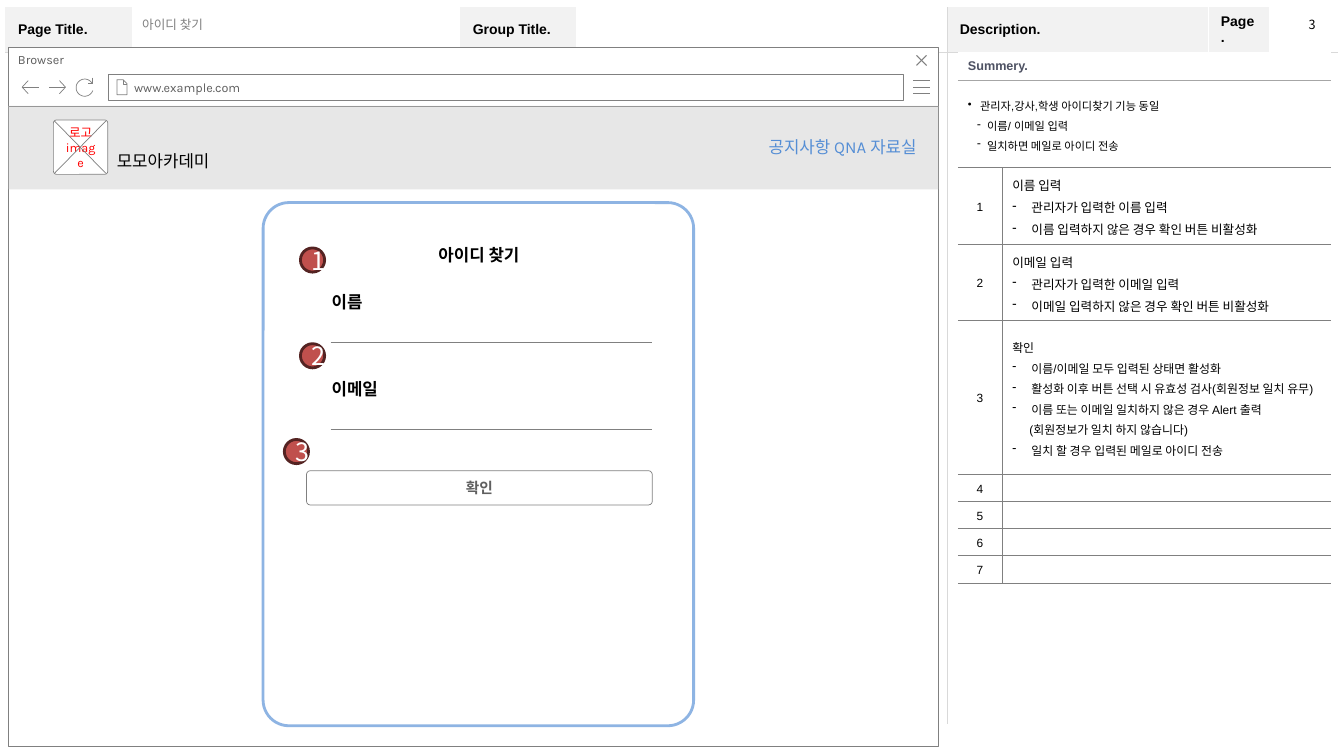
import math
from dataclasses import dataclass

from lxml import etree
from pptx import Presentation
from pptx import util as u
from pptx.dml.color import RGBColor
from pptx.enum import shapes, text
from pptx.oxml.ns import qn

BLACK = RGBColor(0x00, 0x00, 0x00)
WHITE = RGBColor(0xFF, 0xFF, 0xFF)
GREY = RGBColor(0x80, 0x80, 0x80)
DARK_GREY = RGBColor(0x5F, 0x5F, 0x5F)
PALE_GREY = RGBColor(0xF2, 0xF2, 0xF2)
RULE_GREY = RGBColor(0xD9, 0xD9, 0xD9)
SUMMARY_RULE = RGBColor(0xA6, 0xA6, 0xA6)
BANNER_GREY = RGBColor(0xBF, 0xBF, 0xBF)
SLATE = RGBColor(0x4E, 0x52, 0x63)
RED = RGBColor(0xFF, 0x00, 0x00)
MARKER_RED = RGBColor(0xC0, 0x50, 0x4D)
MARKER_EDGE = RGBColor(0x54, 0x23, 0x22)
FRAME_BLUE = RGBColor(0x8E, 0xB4, 0xE3)
MENU_BLUE = RGBColor(0x55, 0x8E, 0xD5)
KOREAN = "Noto Sans CJK KR"
LEFT, CENTER = text.PP_ALIGN.LEFT, text.PP_ALIGN.CENTER
RIGHT, JUSTIFY = text.PP_ALIGN.RIGHT, text.PP_ALIGN.JUSTIFY
TOP, MIDDLE = text.MSO_ANCHOR.TOP, text.MSO_ANCHOR.MIDDLE
RECT = shapes.MSO_SHAPE.RECTANGLE
ROUND = shapes.MSO_SHAPE.ROUNDED_RECTANGLE
OVAL = shapes.MSO_SHAPE.OVAL


@dataclass
class Style:
    size: float
    colour: RGBColor = BLACK
    font: str = "Arial"
    bold: bool = False
    align: text.PP_ALIGN = LEFT
    spacing: float = 1.0


@dataclass
class Item:
    """A paragraph with an optional bullet, its indent and hanging width."""
    words: str
    bullet: str = ""
    indent: float = 0
    hanging: float = 0


@dataclass
class Box:
    kind: shapes.MSO_SHAPE
    at: tuple[float, float, float, float]
    fill: RGBColor | None = WHITE
    line: RGBColor | None = GREY
    weight: float = 0.5
    corner: float | None = None


@dataclass
class Label:
    words: str
    at: tuple[float, float, float]
    style: Style


def write(tf, items: list[Item], style: Style) -> None:
    for i, item in enumerate(items):
        p = tf.paragraphs[0] if i == 0 else tf.add_paragraph()
        p.text, p.alignment, p.line_spacing = item.words, style.align, style.spacing
        p.space_before = u.Pt(0)
        f = p.font
        f.size, f.bold, f.name = u.Pt(style.size), style.bold, style.font
        f.color.rgb = style.colour
        pPr = p._p.get_or_add_pPr()
        defaults = pPr.find(qn("a:defRPr"))
        etree.SubElement(defaults, qn("a:ea"), typeface=KOREAN)
        if item.indent:
            pPr.set("marL", str(u.Inches(item.indent)))
            pPr.set("indent", str(-u.Inches(item.hanging)))
        if item.bullet:
            bullet = etree.Element(qn("a:buChar"), char=item.bullet)
            defaults.addprevious(bullet)


def set_insets(target, left: float, top: float, right: float, bottom: float) -> None:
    target.margin_left, target.margin_top = u.Inches(left), u.Inches(top)
    target.margin_right, target.margin_bottom = u.Inches(right), u.Inches(bottom)


def add_box(s, box: Box):
    sp = s.shapes.add_shape(box.kind, *map(u.Inches, box.at))
    sp.shadow.inherit = False
    if box.fill is None:
        sp.fill.background()
    else:
        sp.fill.solid()
        sp.fill.fore_color.rgb = box.fill
    if box.line is None:
        sp.line.fill.background()
    else:
        sp.line.color.rgb, sp.line.width = box.line, u.Pt(box.weight)
    if box.corner is not None:
        sp.adjustments[0] = box.corner
    sp.text_frame.vertical_anchor = MIDDLE
    return sp


def add_label(s, label: Label):
    left, top, width = label.at
    sp = s.shapes.add_textbox(*map(u.Inches, (left, top, width, 0.3)))
    sp.text_frame.word_wrap = True
    write(sp.text_frame, [Item(label.words)], label.style)


def add_rule(s, x1: float, y1: float, x2: float, y2: float) -> None:
    c = s.shapes.add_connector(shapes.MSO_CONNECTOR.STRAIGHT, *map(u.Inches, (x1, y1, x2, y2)))
    c.line.color.rgb, c.line.width = GREY, u.Pt(0.5)
    etree.SubElement(c._element.spPr, qn("a:effectLst"))


def add_icon(s, strokes: list[list[tuple[float, float]]], weight: float = 0.5) -> None:
    """Draw open strokes given in hundredths of an inch."""
    scaled = [[(x * 10, y * 10) for x, y in stroke] for stroke in strokes]
    builder = s.shapes.build_freeform(*scaled[0][0], scale=u.Inches(1) / 1000)
    for i, stroke in enumerate(scaled):
        if i:
            builder.move_to(*stroke[0])
        builder.add_line_segments(stroke[1:], close=False)
    sp = builder.convert_to_shape()
    sp.shadow.inherit = False
    sp.fill.background()
    sp.line.color.rgb, sp.line.width = GREY, u.Pt(weight)


def set_cell(cell, edges: dict[str, RGBColor], fill: RGBColor | None = None) -> None:
    """Colour the edges named L, R, T, B; the others stay empty."""
    tcPr = cell._tc.get_or_add_tcPr()
    for side in "LRTB":
        ln = etree.SubElement(tcPr, qn(f"a:ln{side}"), w=str(u.Pt(0.25)))
        if side in edges:
            solid = etree.SubElement(ln, qn("a:solidFill"))
            etree.SubElement(solid, qn("a:srgbClr"), val=str(edges[side]))
        else:
            etree.SubElement(ln, qn("a:noFill"))
    if fill is None:
        cell.fill.background()
    else:
        cell.fill.solid()
        cell.fill.fore_color.rgb = fill
    cell.vertical_anchor = MIDDLE
    cell.text_frame.paragraphs[0].font.size = u.Pt(8)
    etree.SubElement(cell.text_frame.paragraphs[0]._p, qn("a:endParaRPr"), sz="800")


def add_grid(s, left: float, top: float, cols: list[float], rows: list[float]):
    frame = s.shapes.add_table(len(rows), len(cols),
                               *map(u.Inches, (left, top, sum(cols), sum(rows))))
    table = frame.table
    table.first_row = table.horz_banding = False
    for col, width in zip(table.columns, cols):
        col.width = u.Inches(width)
    for row, height in zip(table.rows, rows):
        row.height = u.Inches(height)
    return table


def dashes(*lines: str) -> list[Item]:
    return [Item(line, "-", 0.19, 0.19) for line in lines]


def add_header(s) -> None:
    table = add_grid(s, 0.05, 0.07, [1.26, 3.25, 1.15, 3.68, 2.59, 0.61, 0.68], [0.44, 6.66])
    table.cell(1, 0).merge(table.cell(1, 3))
    table.cell(1, 4).merge(table.cell(1, 6))
    headings = {0: "Page Title.", 2: "Group Title.", 4: "Description.", 5: "Page."}
    for col in range(7):
        divider = {3: {"R": RULE_GREY}, 4: {"L": RULE_GREY, "R": WHITE}, 5: {"L": WHITE}}.get(col, {})
        cell = table.cell(0, col)
        set_cell(cell, divider | {"B": RULE_GREY}, PALE_GREY if col in headings else None)
        set_cell(table.cell(1, col), divider | {"T": RULE_GREY} if col in (3, 4) else {"T": RULE_GREY})
        if col in headings:
            set_insets(cell, 0.13, 0.07, 0.13, 0.07)
            write(cell.text_frame, [Item(headings[col])], Style(10, bold=True))


def add_description(s) -> None:
    table = add_grid(s, 9.5, 0.52, [0.44, 3.26], [0.28, 0.86, 0.76, 0.75, 1.53] + [0.27] * 4)
    summary = [Item("관리자,강사,학생 아이디찾기 기능 동일", "•", 0.12, 0.12),
               Item("이름/ 이메일 입력", "-", 0.19, 0.1),
               Item("일치하면 메일로 아이디 전송", "-", 0.19, 0.1)]
    details = [
        (9, [Item("이름 입력")] + dashes("관리자가 입력한 이름 입력", "이름 입력하지 않은 경우 확인 버튼 비활성화")),
        (9, [Item("이메일 입력")] + dashes("관리자가 입력한 이메일 입력", "이메일 입력하지 않은 경우 확인 버튼 비활성화")),
        (8.5, [Item("확인")] + dashes("이름/이메일 모두 입력된 상태면 활성화",
                                    "활성화 이후 버튼 선택 시 유효성 검사(회원정보 일치 유무)",
                                    "이름 또는 이메일 일치하지 않은 경우 Alert 출력")
         + [Item("(회원정보가 일치 하지 않습니다)", indent=0.17)]
         + dashes("일치 할 경우 입력된 메일로 아이디 전송")),
    ] + [(8.5, [])] * 4
    tops = [({"B": SUMMARY_RULE}, WHITE, [Item("Summery.")], Style(9, SLATE, bold=True)),
            ({"T": SUMMARY_RULE, "B": GREY}, None, summary, Style(8, align=JUSTIFY, spacing=1.2))]
    for row, (edges, fill, items, style) in enumerate(tops):
        table.cell(row, 0).merge(table.cell(row, 1))
        for col in range(2):
            set_cell(table.cell(row, col), edges, fill)
        write(table.cell(row, 0).text_frame, items, style)
    for number, (size, items) in enumerate(details, 1):
        index, detail = table.cell(number + 1, 0), table.cell(number + 1, 1)
        set_cell(index, {"T": GREY, "B": GREY, "R": GREY})
        set_cell(detail, {"T": GREY, "B": GREY, "L": GREY})
        write(index.text_frame, [Item(str(number))], Style(8.5, align=CENTER, spacing=1.2))
        write(detail.text_frame, items, Style(size, align=JUSTIFY, spacing=1.2))


def add_browser(s) -> None:
    add_box(s, Box(RECT, (0.08, 1.05, 9.23, 6.35)))
    bars = [("Browser", (0.08, 0.47, 9.23, 0.59), 0.1, TOP),
            ("www.example.com", (1.07, 0.74, 7.89, 0.26), 0.26, MIDDLE)]
    for words, at, inset, anchor in bars:
        tf = add_box(s, Box(RECT, at)).text_frame
        tf.vertical_anchor = anchor
        set_insets(tf, inset, 0.05, 0.1, 0.05)
        write(tf, [Item(words)], Style(9, DARK_GREY, "Karla"))
    turn = [math.radians(a) for a in range(20, 334, 8)]
    add_icon(s, [[(906, y), (922, y)] for y in (80, 86.5, 93)])
    add_icon(s, [[(919, 55), (909, 65)], [(909, 55), (919, 65)]], 0.75)
    add_icon(s, [[(122, 79), (122, 84), (126, 84)],
                 [(116, 79), (116, 94), (126, 94), (126, 83), (122, 79), (116, 79)]])
    add_icon(s, [[(28, 80), (22, 86.5), (28, 93)], [(22, 86.5), (39, 86.5)]])
    add_icon(s, [[(59, 80), (65, 86.5), (59, 93)], [(65, 86.5), (49, 86.5)]])
    add_icon(s, [[(92, 77), (92, 83), (87, 83)],
                 [(84 + 8.5 * math.cos(a), 87 + 8.5 * math.sin(a)) for a in turn]])


def add_page(s) -> None:
    button = add_box(s, Box(ROUND, (3.04, 4.67, 3.43, 0.34), corner=0.11))
    write(button.text_frame, [Item("확인")], Style(10.5, DARK_GREY, "Karla", True, CENTER))
    for y in (3.4, 4.26):
        add_rule(s, 3.28, y, 6.47, y)
    for number, (x, y) in enumerate([(2.98, 2.46), (2.98, 3.41), (2.82, 4.36)], 1):
        marker = add_box(s, Box(OVAL, (x, y, 0.24, 0.24), MARKER_RED, MARKER_EDGE, 2))
        write(marker.text_frame, [Item(str(number))], Style(18, WHITE, KOREAN, align=CENTER))
    add_box(s, Box(ROUND, (2.61, 2.01, 4.27, 5.19), None, FRAME_BLUE, 2, 0.06))
    banner = add_box(s, Box(RECT, (0.08, 1.05, 9.23, 0.83), BANNER_GREY, None))
    etree.SubElement(banner._element.spPr.find(".//" + qn("a:srgbClr")), qn("a:alpha"), val="37000")
    logo = add_box(s, Box(ROUND, (0.53, 1.19, 0.54, 0.54), corner=0.06))
    write(logo.text_frame, [Item("로고"), Item("image")], Style(9, RED, "Karla", align=CENTER))
    add_rule(s, 0.54, 1.2, 1.05, 1.72)
    add_rule(s, 0.54, 1.72, 1.05, 1.2)
    for label in (Label("아이디 찾기", (3.84, 2.38, 1.82), Style(12, BLACK, KOREAN, True, CENTER)),
                  Label("이름", (3.19, 2.85, 1.82), Style(12, BLACK, KOREAN, True)),
                  Label("이메일", (3.19, 3.71, 1.82), Style(12, BLACK, KOREAN, True)),
                  Label("모모아카데미", (1.06, 1.45, 1.82), Style(12, BLACK, KOREAN)),
                  Label("공지사항 QNA 자료실", (2.52, 1.31, 6.67), Style(12, MENU_BLUE, "Karla", align=RIGHT)),
                  Label("3", (12.88, 0.12, 0.4), Style(9, BLACK, KOREAN))):
        add_label(s, label)


def main() -> None:
    prs = Presentation()
    prs.slide_width, prs.slide_height = u.Inches(13.33), u.Inches(7.5)
    s = prs.slides.add_slide(prs.slide_layouts[5])
    title = s.shapes.title
    title.left, title.top, title.width, title.height = map(u.Inches, (1.31, 0.12, 3.24, 0.24))
    title.text_frame.vertical_anchor = MIDDLE
    write(title.text_frame, [Item("아이디 찾기")], Style(9, GREY))
    add_header(s)
    add_browser(s)
    add_description(s)
    add_page(s)
    prs.save("out.pptx")


if __name__ == "__main__":
    main()
